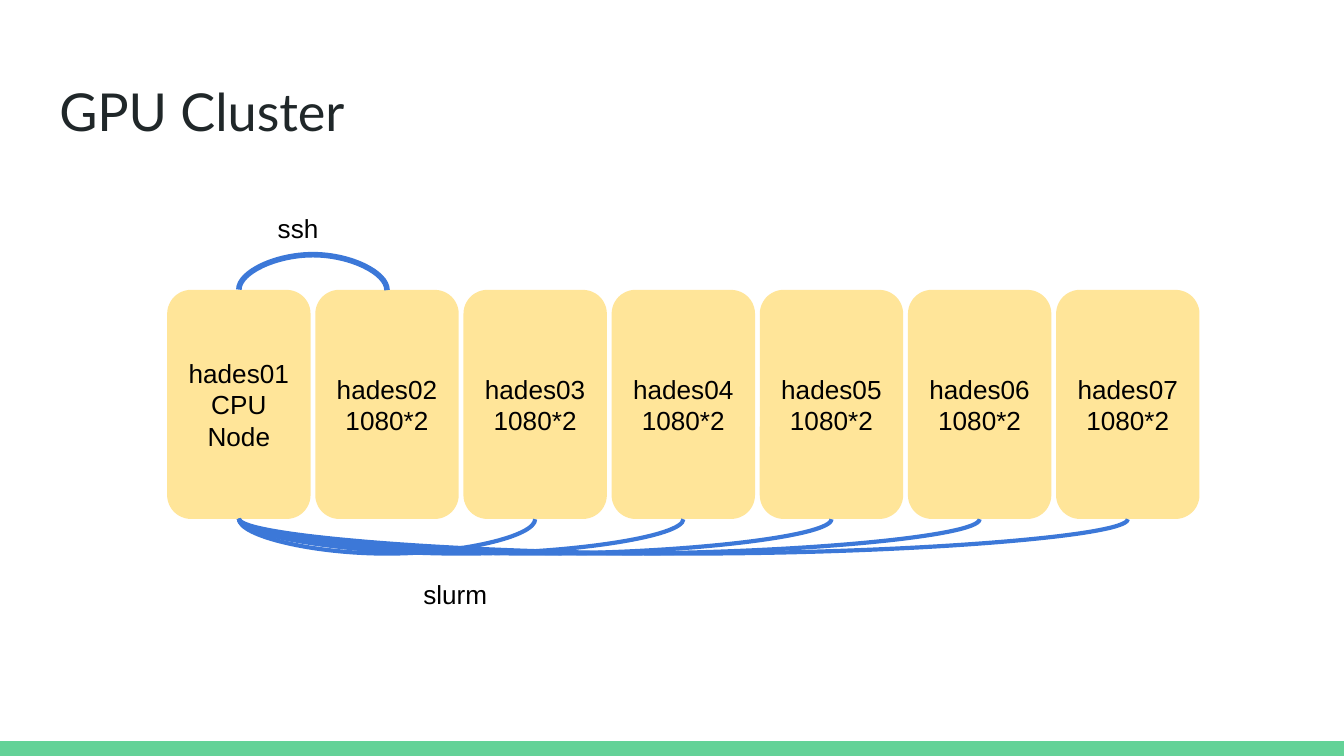
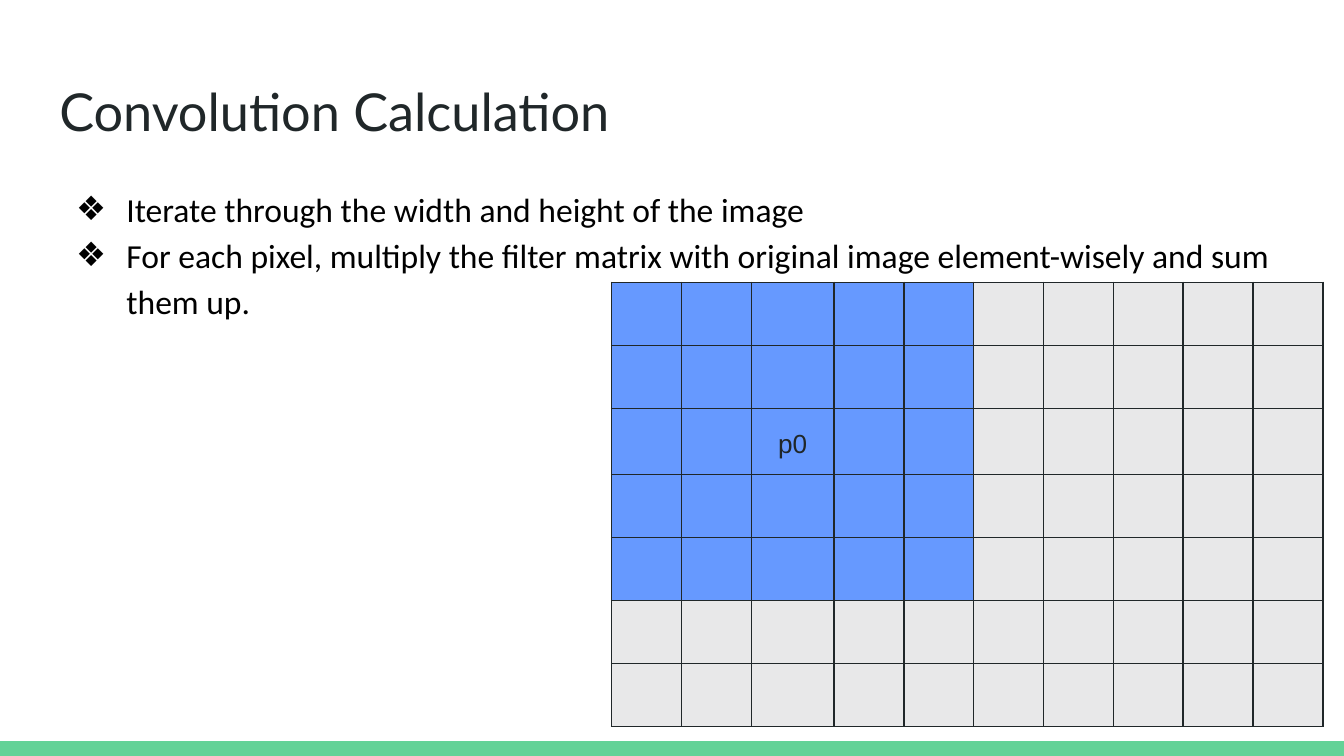
from dataclasses import dataclass

from lxml.etree import SubElement
from pptx import Presentation
from pptx.dml.color import RGBColor as RGB
from pptx.enum.shapes import MSO_CONNECTOR as Link, MSO_SHAPE as Shape
from pptx.enum.text import MSO_ANCHOR as Anchor, MSO_AUTO_SIZE as Fit, PP_ALIGN as Align
from pptx.oxml.ns import qn
from pptx.util import Cm, Pt

TITLE_ONLY = 5
TOP, BOTTOM = 0, 2  # connection sites


@dataclass(frozen=True)
class Theme:
    ink: str = "202729"
    text: str = "000000"
    band: str = "63D297"
    node: str = "FFE599"
    link: str = "3C78D8"
    window: str = "6699FF"
    pixel: str = "E8E8E9"
    title_font: str = "Lato"
    body_font: str = "Calibri"
    label_font: str = "Arial"
    title_size: int = 28
    body_size: int = 18
    label_size: int = 14


class Deck:
    """Holds the theme and the slide being built."""

    def __init__(self, theme):
        self.theme = theme
        self.prs = Presentation()
        self.prs.slide_width, self.prs.slide_height = Cm(25.4), Cm(14.29)
        self.slide = None

    # Slide frame: bottom band and title
    def new_slide(self, heading):
        t = self.theme
        self.slide = self.prs.slides.add_slide(self.prs.slide_layouts[TITLE_ONLY])
        self.box(Shape.RECTANGLE, 0, 14.01, 25.4, 0.28, t.band)
        title = self.slide.shapes.title
        title.left, title.top, title.width, title.height = Cm(0.87), Cm(1.24), Cm(23.67), Cm(1.6)
        self.set_text(title.text_frame, [heading], t.title_font, t.title_size, t.ink)

    def set_text(self, frame, lines, font, size, color,
                 align=Align.LEFT, anchor=Anchor.TOP, spacing=None, bullet=None):
        frame.word_wrap = True
        frame.auto_size = Fit.NONE
        frame.vertical_anchor = anchor
        frame.margin_left = frame.margin_right = Cm(0.25)
        frame.margin_top = frame.margin_bottom = Cm(0.25)
        for i, line in enumerate(lines):
            paragraph = frame.add_paragraph() if i else frame.paragraphs[0]
            if bullet:
                self.add_bullet(paragraph, bullet, font, color)
            self.set_line(paragraph, line, font, size, color, align, spacing)

    @staticmethod
    def set_line(paragraph, line, font, size, color, align, spacing=None):
        paragraph.text = line
        paragraph.alignment = align
        paragraph.line_spacing = spacing
        paragraph.font.name = font
        paragraph.font.size = Pt(size)
        paragraph.font.color.rgb = RGB.from_string(color)

    @staticmethod
    def add_bullet(paragraph, mark, font, color):
        props = paragraph._p.get_or_add_pPr()
        props.set("marL", str(Cm(1.27)))
        props.set("indent", str(-Cm(0.95)))
        SubElement(SubElement(props, qn("a:buClr")), qn("a:srgbClr")).set("val", color)
        SubElement(props, qn("a:buFont")).set("typeface", font)
        SubElement(props, qn("a:buChar")).set("char", mark)

    def box(self, kind, x, y, w, h, fill, lines=()):
        t = self.theme
        shape = self.slide.shapes.add_shape(kind, Cm(x), Cm(y), Cm(w), Cm(h))
        shape.shadow.inherit = False
        shape.fill.solid()
        shape.fill.fore_color.rgb = RGB.from_string(fill)
        shape.line.fill.background()
        if lines:
            self.set_text(shape.text_frame, lines, t.label_font, t.label_size, t.text,
                          Align.CENTER, Anchor.MIDDLE)
        return shape

    def label(self, x, y, w, h, words):
        t = self.theme
        area = self.slide.shapes.add_textbox(Cm(x), Cm(y), Cm(w), Cm(h))
        self.set_text(area.text_frame, [words], t.label_font, t.label_size, t.text)

    def bullets(self, x, y, w, h, lines):
        t = self.theme
        area = self.slide.shapes.add_textbox(Cm(x), Cm(y), Cm(w), Cm(h))
        self.set_text(area.text_frame, lines, t.body_font, t.body_size, t.text,
                      spacing=1.15, bullet="❖")

    def arc(self, start, end, site, weight, bulge=0.66):
        """Curve between the same sides of two boxes, bulging away from them."""
        arc = self.slide.shapes.add_connector(Link.CURVE, 0, 0, 0, 0)
        arc.begin_connect(start, site)
        arc.end_connect(end, site)
        # A very thin frame, turned a quarter, with the bend far outside it
        thin = Cm(0.01)
        span = end.left - start.left
        middle = start.left + (start.width + span) // 2
        side = start.top + (start.height if site == BOTTOM else 0)
        arc.left, arc.top = middle - thin // 2, side - span // 2
        arc.width, arc.height = thin, span
        props = arc._element.spPr
        frame = props.find(qn("a:xfrm"))
        frame.attrib.pop("flipV", None)
        frame.set("rot", str(270 * 60000))
        frame.set("flipH", "1")
        outline = props.find(qn("a:prstGeom"))
        guides = outline.find(qn("a:avLst"))
        if guides is None:
            guides = SubElement(outline, qn("a:avLst"))
        bend = round(Cm(bulge) / thin * 100000) * (1 if site == BOTTOM else -1)
        guide = SubElement(guides, qn("a:gd"))
        guide.set("name", "adj1")
        guide.set("fmla", f"val {bend}")
        arc.line.color.rgb = RGB.from_string(self.theme.link)
        arc.line.width = Pt(weight)
        SubElement(props, qn("a:effectLst"))

    def grid(self, x, y, widths, heights, fill_at, words):
        t = self.theme
        table = self.slide.shapes.add_table(
            len(heights), len(widths), Cm(x), Cm(y), Cm(sum(widths)), Cm(sum(heights))).table
        table.first_row = table.horz_banding = False
        for column, width in zip(table.columns, widths):
            column.width = Cm(width)
        for r, height in enumerate(heights):
            table.rows[r].height = Cm(height)
            for c in range(len(widths)):
                cell = table.cell(r, c)
                self.add_borders(cell)
                cell.fill.solid()
                cell.fill.fore_color.rgb = RGB.from_string(fill_at(r, c))
                if (r, c) in words:
                    self.set_line(cell.text_frame.paragraphs[0], words[r, c], t.label_font,
                                  t.label_size, t.ink, Align.CENTER, 1.5)

    def add_borders(self, cell):
        props = cell._tc.get_or_add_tcPr()
        for side in ("lnL", "lnR", "lnT", "lnB"):
            border = SubElement(props, qn(f"a:{side}"))
            border.set("w", str(Pt(1)))
            paint = SubElement(border, qn("a:solidFill"))
            SubElement(paint, qn("a:srgbClr")).set("val", self.theme.ink)


def gpu_cluster(deck):
    deck.new_slide("GPU Cluster")

    # Nodes in an even row
    roles = [["CPU", "Node"]] + [["1080*2"]] * 6
    nodes = [
        deck.box(Shape.ROUNDED_RECTANGLE, 3.16 + 2.8 * i, 5.48, 2.71, 4.33,
                 deck.theme.node, [f"hades{i + 1:02}", *role])
        for i, role in enumerate(roles)
    ]

    # Links from the CPU node
    head, ssh_node, *slurm_nodes = nodes
    deck.arc(head, ssh_node, TOP, 3)
    for node in slurm_nodes:
        deck.arc(head, node, BOTTOM, 2.25)
    deck.label(5, 3.76, 3.25, 1.6, "ssh")
    deck.label(7.75, 10.69, 8.15, 1.17, "slurm")


def convolution(deck):
    deck.new_slide("Convolution Calculation")
    deck.bullets(0.87, 3.2, 23.67, 9.5, [
        "Iterate through the width and height of the image",
        "For each pixel, multiply the filter matrix with original image "
        "element-wisely and sum them up.",
    ])

    # Image pixels, with the filter window centred on p0
    window, center = 5, 2
    widths = [1.56 if c == center else 1.32 for c in range(10)]
    heights = [1.25 if r == center else 1.19 for r in range(7)]
    deck.grid(11.56, 5.34, widths, heights,
              lambda r, c: deck.theme.window if max(r, c) < window else deck.theme.pixel,
              {(center, center): "p0"})


def main():
    deck = Deck(Theme())
    gpu_cluster(deck)
    convolution(deck)
    deck.prs.save("out.pptx")


if __name__ == "__main__":
    main()
